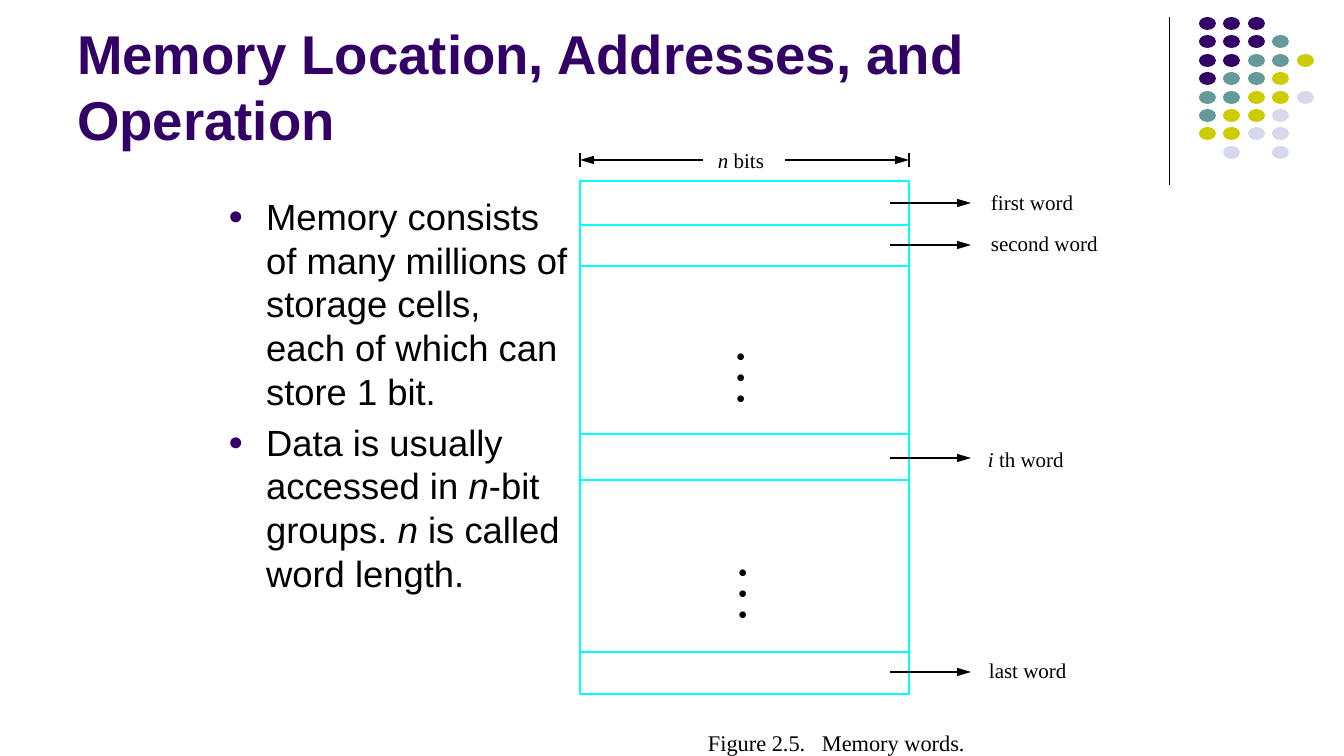
from typing import NamedTuple

from lxml.etree import SubElement
from pptx import Presentation
from pptx.dml.color import RGBColor
from pptx.enum.shapes import MSO_CONNECTOR, MSO_SHAPE
from pptx.enum.text import MSO_ANCHOR as Anchor, MSO_AUTO_SIZE as Fit, PP_ALIGN as Align
from pptx.oxml.ns import qn
from pptx.util import Emu, Pt

SCALE = 914400 / 100.8
BLACK = RGBColor(0x00, 0x00, 0x00)
PURPLE = RGBColor(0x33, 0x00, 0x66)
TEAL = RGBColor(0x66, 0x99, 0x99)
OLIVE = RGBColor(0xCC, 0xCC, 0x00)
LILAC = RGBColor(0xD8, 0xD8, 0xEC)
CYAN = RGBColor(0x00, 0xFF, 0xFF)
SANS, SERIF = "Arial", "Times New Roman"


class Box(NamedTuple):
    x: int
    y: int
    w: int
    h: int


class Label(NamedTuple):
    box: Box
    text: str  # asterisks enclose italics
    size: int = 15


class Line(NamedTuple):
    x1: int
    y1: int
    x2: int
    y2: int
    color: RGBColor = BLACK
    width: float = 1.63
    arrow: bool = False


def px(n: float) -> Emu:
    return Emu(round(n * SCALE))


def area(box: Box) -> list[Emu]:
    return [px(n) for n in box]


def place(shape, box: Box) -> None:
    shape.left, shape.top, shape.width, shape.height = area(box)


def write(para, text: str, font: str, size: int, color=BLACK, bold=False) -> None:
    for i, part in enumerate(text.split("*")):
        if part:
            run = para.add_run()
            run.text = part
            run.font.name, run.font.size = font, Pt(size)
            run.font.bold, run.font.italic = bold, i % 2 == 1
            run.font.color.rgb = color


def bullet(para) -> None:
    props = para._p.get_or_add_pPr()
    props.set("marL", str(px(38)))
    props.set("indent", str(-px(38)))
    tint = SubElement(props, qn("a:buClr"))
    SubElement(tint, qn("a:srgbClr"), val=str(PURPLE))
    SubElement(props, qn("a:buSzPct"), val="70000")
    SubElement(props, qn("a:buFont"), typeface=SANS)
    SubElement(props, qn("a:buChar"), char="●")


def draw_line(shapes, line: Line) -> None:
    ends = [px(n) for n in line[:4]]
    conn = shapes.add_connector(MSO_CONNECTOR.STRAIGHT, *ends)
    conn.line.color.rgb = line.color
    conn.line.width = Pt(line.width)
    props = conn._element.spPr
    if line.arrow:
        SubElement(props.find(qn("a:ln")), qn("a:tailEnd"),
                   type="triangle", w="med", len="lg")
    SubElement(props, qn("a:effectLst"))


def text_box(shapes, box: Box):
    frame = shapes.add_textbox(*area(box)).text_frame
    frame.margin_left = frame.margin_right = 0
    frame.margin_top = frame.margin_bottom = 0
    frame.word_wrap = False
    return frame


def draw_label(shapes, label: Label) -> None:
    para = text_box(shapes, label.box).paragraphs[0]
    para.alignment = Align.LEFT
    if "\t" in label.text:
        tabs = SubElement(para._p.get_or_add_pPr(), qn("a:tabLst"))
        SubElement(tabs, qn("a:tab"), pos=str(px(114)), algn="l")
    write(para, label.text, SERIF, label.size)


def draw_gap(shapes, x: int, y: int) -> None:
    frame = text_box(shapes, Box(x, y, 10, 63))
    for i in range(3):
        para = frame.add_paragraph() if i else frame.paragraphs[0]
        para.line_spacing = Pt(15)
        write(para, "•", SERIF, 20)


def draw_dots(shapes) -> None:
    tints = {"P": PURPLE, "T": TEAL, "O": OLIVE, "L": LILAC}
    rows = ("PPP", "PPPT", "PPTTO", "PTTO", "TTOOL", "TOOL", "OOLL", ".L.L")
    for r, row in enumerate(rows):
        for c, key in enumerate(row):
            if key in tints:
                box = Box(round(1198.6 + 24.6 * c), round(17 + 18.4 * r), 17, 13)
                dot = shapes.add_shape(MSO_SHAPE.OVAL, *area(box))
                dot.shadow.inherit = False
                dot.fill.solid()
                dot.fill.fore_color.rgb = tints[key]
                dot.line.fill.background()


def fill_text(slide) -> None:
    title, body = slide.placeholders
    place(title, Box(67, 13, 1109, 143))
    frame = title.text_frame
    frame.auto_size, frame.word_wrap = Fit.NONE, True
    frame.vertical_anchor = Anchor.BOTTOM
    para = frame.paragraphs[0]
    para.alignment, para.line_spacing = Align.LEFT, Pt(47)
    write(para, "Memory Location, Addresses, and Operation", SANS, 39, PURPLE, True)

    place(body, Box(218, 189, 361, 486))
    frame = body.text_frame
    frame.auto_size, frame.word_wrap = Fit.NONE, True
    points = (
        "Memory consists of many millions of storage cells, "
        "each of which can store 1 bit.",
        "Data is usually accessed in *n*-bit groups. *n* is called word length.",
    )
    for i, point in enumerate(points):
        para = frame.add_paragraph() if i else frame.paragraphs[0]
        bullet(para)
        para.line_spacing = Pt(31.2)
        para.space_before = Pt(5.2 if i else 0)
        write(para, point, SANS, 26)


def draw_memory(shapes) -> None:
    # Memory block and its word boundaries
    left, top, right, base = 580, 181, 909, 694
    block = shapes.add_shape(
        MSO_SHAPE.RECTANGLE, *area(Box(left, top, right - left, base - top)))
    block.shadow.inherit = False
    block.fill.background()
    block.line.color.rgb = CYAN
    block.line.width = Pt(1.63)
    for y in (225, 266, 434, 480, 652):
        draw_line(shapes, Line(left, y, right, y, CYAN))

    # Width marker
    for edge, inner in ((left, 703), (right, 785)):
        draw_line(shapes, Line(edge, 153, edge, 167))
        draw_line(shapes, Line(inner, 160, edge, 160, arrow=True))

    # Word arrows, labels and gaps
    for y in (203, 245, 458, 672):
        draw_line(shapes, Line(890, y, 971, y, arrow=True))
    labels = (
        Label(Box(718, 148, 60, 25), "*n* bits"),
        Label(Box(991, 190, 90, 25), "first word"),
        Label(Box(991, 231, 120, 25), "second word"),
        Label(Box(988, 447, 90, 25), "*i* th word"),
        Label(Box(989, 658, 90, 25), "last word"),
        Label(Box(708, 729, 270, 27), "Figure 2.5.\tMemory words.", 16),
    )
    for label in labels:
        draw_label(shapes, label)
    draw_gap(shapes, 736, 351)
    draw_gap(shapes, 738, 567)


def main() -> None:
    deck = Presentation()
    deck.slide_width, deck.slide_height = px(1344), px(756)
    slide = deck.slides.add_slide(deck.slide_layouts[1])
    # Corner ornament
    draw_line(slide.shapes, Line(1170, 17, 1170, 185, width=0.75))
    draw_dots(slide.shapes)
    # Title, list and diagram
    fill_text(slide)
    draw_memory(slide.shapes)
    deck.save("out.pptx")


if __name__ == "__main__":
    main()
